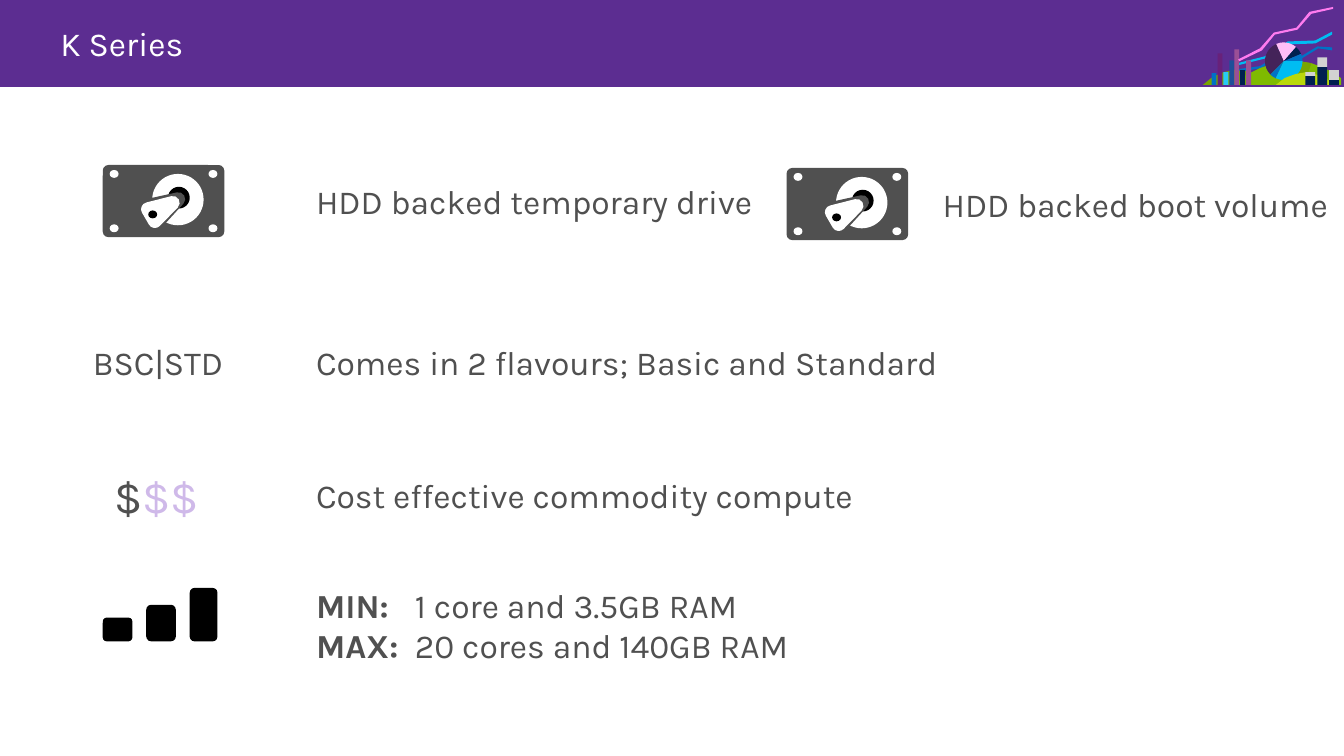
from dataclasses import dataclass
from math import cos, radians, sin

from pptx import Presentation
from pptx.dml.color import RGBColor
from pptx.enum.shapes import MSO_SHAPE as Preset
from pptx.enum.text import MSO_ANCHOR as Anchor, MSO_AUTO_SIZE as AutoSize, PP_ALIGN as Align
from pptx.util import Inches, Pt


@dataclass(frozen=True)
class Theme:
    font: str = "Karla"
    body_size: float = 24.5
    price_size: float = 32.6
    arm_line: float = 10
    banner: str = "5C2D91"
    text: str = "505050"
    muted: str = "CFB9E9"
    white: str = "FFFFFF"
    black: str = "000000"
    navy: str = "002050"
    blue: str = "0072C6"
    cyan: str = "00BCF2"
    sky: str = "28C9F7"
    steel: str = "1F4F99"
    violet: str = "68217A"
    plum: str = "442359"
    mauve: str = "9B4F96"
    pink: str = "FF7BEF"
    blush: str = "FFBDF7"
    moss: str = "79A500"
    green: str = "7FBA00"
    lime: str = "BAD80A"
    silver: str = "D2D2D2"


theme = Theme()


def add_preset(group, preset, left, top, width, height, color):
    shape = group.shapes.add_shape(preset, Inches(left), Inches(top), Inches(width), Inches(height))
    shape.shadow.inherit = False
    shape.fill.solid()
    shape.fill.fore_color.rgb = RGBColor.from_string(color)
    shape.line.fill.background()
    return shape


def add_outline(group, points, color):
    corners = [(Inches(x), Inches(y)) for x, y in points]
    builder = group.shapes.build_freeform(*corners[0])
    builder.add_line_segments(corners[1:], close=True)
    shape = builder.convert_to_shape()
    shape.shadow.inherit = False
    shape.fill.solid()
    shape.fill.fore_color.rgb = RGBColor.from_string(color)
    shape.line.fill.background()


presentation = Presentation()
presentation.slide_width = Inches(13.6)
presentation.slide_height = Inches(7.65)
slide = presentation.slides.add_slide(presentation.slide_layouts[5])

# Title banner
title = slide.shapes.title
title.left, title.top, title.width, title.height = 0, 0, Inches(13.6), Inches(0.88)
title.fill.solid()
title.fill.fore_color.rgb = RGBColor.from_string(theme.banner)
frame = title.text_frame
frame.text = "K Series"
frame.auto_size = AutoSize.NONE
frame.vertical_anchor = Anchor.MIDDLE
frame.margin_left = Inches(0.61)
paragraph = frame.paragraphs[0]
paragraph.alignment = Align.LEFT
paragraph.font.name = theme.font
paragraph.font.size = Pt(theme.body_size)
paragraph.font.color.rgb = RGBColor.from_string(theme.white)

# Hard drive icons
for left, top in [(1.04, 1.67), (7.96, 1.7)]:
    drive = slide.shapes.add_group_shape()
    case = add_preset(drive, Preset.ROUNDED_RECTANGLE, left, top, 1.23, 0.73, theme.text)
    case.adjustments[0] = 0.078
    for screw_x in (0.07, 1.07):
        for screw_y in (0.05, 0.6):
            add_preset(drive, Preset.OVAL, left + screw_x, top + screw_y, 0.09, 0.08, theme.white)
    add_preset(drive, Preset.OVAL, left + 0.5, top + 0.09, 0.52, 0.52, theme.white)
    add_preset(drive, Preset.OVAL, left + 0.66, top + 0.22, 0.22, 0.22, theme.black)
    for x, y, width, height, line_color in [
        (0.48, 0.25, 0.24, 0.38, theme.text),
        (0.53, 0.32, 0.14, 0.25, theme.white),
    ]:
        arm = add_preset(drive, Preset.FLOWCHART_EXTRACT, left + x, top + y, width, height, theme.white)
        arm.rotation = 60
        arm.line.color.rgb = RGBColor.from_string(line_color)
        arm.line.width = Pt(theme.arm_line)
    add_preset(drive, Preset.OVAL, left + 0.46, top + 0.46, 0.09, 0.08, theme.black)

# Size icon: three rising bars
size_icon = slide.shapes.add_group_shape()
for left, width, height in [(1.04, 0.3, 0.24), (1.48, 0.3, 0.37), (1.92, 0.28, 0.54)]:
    add_preset(size_icon, Preset.ROUNDED_RECTANGLE, left, 6.49 - height, width, height, theme.black)

# Texts: box, size, then paragraphs of (text, color, bold) runs
plain = theme.text, False
strong = theme.text, True
labels = [
    (3.1, 1.78, 4.63, 0.52, theme.body_size, [[("HDD backed temporary drive", *plain)]]),
    (9.44, 1.81, 4.34, 0.52, theme.body_size, [[("HDD backed boot volume", *plain)]]),
    (0.84, 3.41, 1.89, 0.52, theme.body_size, [[("BSC|STD", *plain)]]),
    (3.1, 3.41, 8.33, 0.52, theme.body_size, [[("Comes in 2 flavours; Basic and Standard", *plain)]]),
    (1.06, 4.69, 1.19, 0.66, theme.price_size, [[("$", *plain), ("$$", theme.muted, False)]]),
    (3.1, 4.76, 8.33, 0.52, theme.body_size, [[("Cost effective commodity compute", *plain)]]),
    (3.1, 5.87, 8.33, 0.94, theme.body_size, [
        [("MIN:\t", *strong), ("1 core and 3.5GB RAM", *plain)],
        [("MAX:\t", *strong), ("20 cores and 140GB RAM", *plain)],
    ]),
]
for left, top, width, height, size, lines in labels:
    label = slide.shapes.add_textbox(Inches(left), Inches(top), Inches(width), Inches(height))
    frame = label.text_frame
    frame.word_wrap = True
    frame.margin_right = 0
    for index, runs in enumerate(lines):
        paragraph = frame.add_paragraph() if index else frame.paragraphs[0]
        paragraph.font.name = theme.font
        paragraph.font.size = Pt(size)
        for text, color, bold in runs:
            run = paragraph.add_run()
            run.text = text
            run.font.color.rgb = RGBColor.from_string(color)
            run.font.bold = bold

# Banner artwork: trend lines behind the hills
artwork = slide.shapes.add_group_shape()
add_outline(artwork, [
    (12.52, 0.64), (12.8, 0.57), (13.03, 0.42), (13.31, 0.41), (13.48, 0.32),
    (13.48, 0.35), (13.31, 0.44), (13.04, 0.45), (12.81, 0.59), (12.53, 0.66),
], theme.cyan)
add_outline(artwork, [
    (12.53, 0.7), (12.75, 0.67), (12.93, 0.56), (13.15, 0.58), (13.33, 0.47), (13.48, 0.48),
    (13.48, 0.51), (13.34, 0.49), (13.16, 0.6), (12.94, 0.58), (12.76, 0.69), (12.53, 0.73),
], theme.blue)

# Back hills and the shade under the pie
add_outline(artwork, [
    (12.17, 0.86), (12.27, 0.78), (12.38, 0.73), (12.49, 0.71),
    (12.61, 0.72), (12.71, 0.75), (12.8, 0.8), (12.88, 0.86),
], theme.moss)
add_outline(artwork, [
    (12.5, 0.86), (12.61, 0.76), (12.75, 0.69), (12.89, 0.64), (13.02, 0.62), (13.15, 0.62),
    (13.27, 0.64), (13.38, 0.68), (13.48, 0.73), (13.57, 0.79), (13.57, 0.86),
], theme.green)
add_outline(artwork, [
    (12.89, 0.64), (13.02, 0.62), (13.15, 0.62), (13.27, 0.64), (13.24, 0.73),
    (13.18, 0.79), (13.08, 0.81), (12.99, 0.79), (12.94, 0.75),
], theme.moss)

# Pie: each slice runs clockwise from its start angle to its end angle
center_x, center_y, radius, steps = 12.99, 0.62, 0.19, 10
for start, end, color in [
    (246, 311, theme.blush), (311, 337, theme.navy), (135, 246, theme.plum),
    (337, 360, theme.blue), (115, 135, theme.blue), (0, 115, theme.cyan),
]:
    angles = [radians(start + (end - start) * step / steps) for step in range(steps + 1)]
    rim = [(center_x + radius * cos(angle), center_y + radius * sin(angle)) for angle in angles]
    add_outline(artwork, [(center_x, center_y), *rim], color)

# Front hill
add_outline(artwork, [
    (12.91, 0.86), (13.0, 0.79), (13.11, 0.75), (13.22, 0.73),
    (13.27, 0.74), (13.37, 0.77), (13.44, 0.81), (13.5, 0.86),
], theme.lime)

# Bars on a common base, then capped columns
base = 0.86
for left, top, color in [
    (12.55, 0.71, theme.navy), (12.38, 0.73, theme.sky), (12.44, 0.61, theme.steel),
    (12.49, 0.5, theme.mauve), (12.61, 0.61, theme.mauve),
    (12.26, 0.74, theme.blue), (12.32, 0.54, theme.violet),
]:
    add_preset(artwork, Preset.RECTANGLE, left, top, 0.05, base - top, color)
for left, top, split in [(13.21, 0.73, 0.77), (13.33, 0.58, 0.68), (13.45, 0.71, 0.81)]:
    add_preset(artwork, Preset.RECTANGLE, left, top, 0.1, split - top, theme.silver)
    add_preset(artwork, Preset.RECTANGLE, left, split, 0.1, base - split, theme.navy)

# Front trend line
add_outline(artwork, [
    (12.53, 0.6), (12.75, 0.49), (12.89, 0.33), (13.12, 0.28), (13.25, 0.12), (13.49, 0.07),
    (13.49, 0.09), (13.27, 0.14), (13.13, 0.3), (12.9, 0.35), (12.77, 0.51), (12.54, 0.62),
], theme.pink)

presentation.save("out.pptx")
